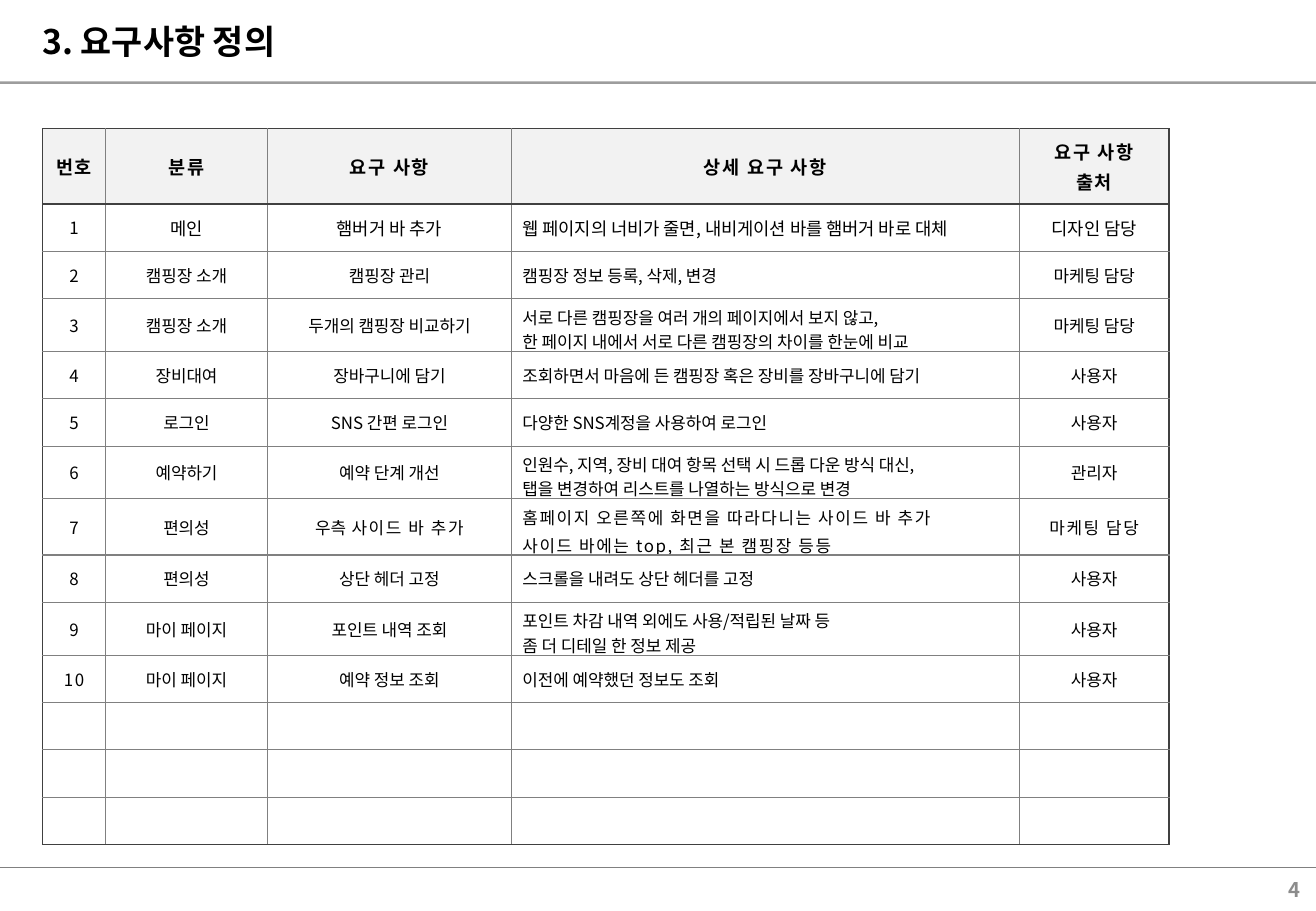
from lxml import etree
from pptx import Presentation
from pptx.dml.color import RGBColor
from pptx.enum.shapes import MSO_CONNECTOR
from pptx.enum.text import MSO_ANCHOR, PP_ALIGN
from pptx.oxml.ns import qn
from pptx.util import Inches, Pt

LEFT, CENTER, RIGHT = PP_ALIGN.LEFT, PP_ALIGN.CENTER, PP_ALIGN.RIGHT
MIDDLE = MSO_ANCHOR.MIDDLE
STRAIGHT = MSO_CONNECTOR.STRAIGHT
FONT = "Noto Sans CJK KR"
COLORS = {
    "text": "000000",
    "page": "8C8C8C",
    "head": "F2F2F2",
    "grid": "808080",
    "frame": "404040",
}
WIDTH = 10.83
COLS = [0.52, 1.33, 2.01, 4.18, 1.23]
HEAD_HIGH, ROW_HIGH = 0.62, 0.39
DETAIL = 3
WIDE = "|"
HEADS = ["|번호", "|분류", "|요구 사항", "|상세 요구 사항", "|요구 사항\n|출처"]
NEEDS = [
    ["메인", "햄버거 바 추가", "웹 페이지의 너비가 줄면, 내비게이션 바를 햄버거 바로 대체", "디자인 담당"],
    ["캠핑장 소개", "캠핑장 관리", "캠핑장 정보 등록, 삭제, 변경", "마케팅 담당"],
    ["캠핑장 소개", "두개의 캠핑장 비교하기",
     "서로 다른 캠핑장을 여러 개의 페이지에서 보지 않고,\n한 페이지 내에서 서로 다른 캠핑장의 차이를 한눈에 비교", "마케팅 담당"],
    ["장비대여", "장바구니에 담기", "조회하면서 마음에 든 캠핑장 혹은 장비를 장바구니에 담기", "사용자"],
    ["로그인", "SNS 간편 로그인", "다양한 SNS계정을 사용하여 로그인", "사용자"],
    ["예약하기", "예약 단계 개선",
     "인원수, 지역, 장비 대여 항목 선택 시 드롭 다운 방식 대신,\n탭을 변경하여 리스트를 나열하는 방식으로 변경", "관리자"],
    ["편의성", "우측| 사이드 바 추가",
     "|홈페이지 오른쪽에 화면을 따라다니는 사이드 바 추가\n|사이드 바에는 top, 최근 본 캠핑장 등등", "|마케팅 담당"],
    ["편의성", "상단 헤더 고정", "스크롤을 내려도 상단 헤더를 고정", "사용자"],
    ["마이 페이지", "포인트 내역 조회",
     "포인트 차감 내역 외에도 사용/적립된 날짜 등\n좀 더 디테일 한 정보 제공", "사용자"],
    ["마이 페이지", "예약 정보 조회", "이전에 예약했던 정보도 조회", "사용자"],
]
SPARE = 3


def paint(name):
    return RGBColor.from_string(COLORS[name])


def add_run(para, text, size, color="text", bold=False, wide=False):
    run = para.add_run()
    run.text = text
    font = run.font
    font.name = FONT
    font.size = Pt(size)
    font.bold = bold
    font.color.rgb = paint(color)
    props = run._r.get_or_add_rPr()
    etree.SubElement(props, qn("a:ea")).set("typeface", FONT)
    if wide:
        props.set("spc", "100")


def add_label(slide, text, box, size, align, color):
    frame = slide.shapes.add_textbox(*map(Inches, box)).text_frame
    frame.word_wrap = True
    frame.vertical_anchor = MIDDLE
    para = frame.paragraphs[0]
    para.alignment = align
    add_run(para, text, size, color, bold=True)


def add_rule(slide, top, width, alpha=None):
    rule = slide.shapes.add_connector(
        STRAIGHT, Inches(0), Inches(top), Inches(WIDTH), Inches(top))
    rule.line.width = Pt(width)
    rule.line.color.rgb = paint("grid")
    props = rule._element.spPr
    if alpha:
        tint = props.find(".//" + qn("a:srgbClr"))
        etree.SubElement(tint, qn("a:alpha")).set("val", str(alpha * 1000))
    etree.SubElement(props, qn("a:effectLst"))


def add_edge(cell, side, framed):
    line = etree.SubElement(cell._tc.get_or_add_tcPr(), qn("a:ln" + side))
    line.set("w", str(Pt(1 if framed else 0.75)))
    fill = etree.SubElement(line, qn("a:solidFill"))
    color = COLORS["frame" if framed else "grid"]
    etree.SubElement(fill, qn("a:srgbClr")).set("val", color)


def write_cell(cell, text, size, align, bold):
    frame = cell.text_frame
    for index, line in enumerate(text.split("\n")):
        para = frame.add_paragraph() if index else frame.paragraphs[0]
        para.alignment = align
        if index and line.startswith(WIDE):
            para.space_before = Pt(2)
        for part, words in enumerate(line.split(WIDE)):
            if words:
                add_run(para, words, size, bold=bold, wide=part > 0)
        if not text:
            end = etree.SubElement(para._p, qn("a:endParaRPr"))
            end.set("sz", str(size * 100))


def style_cell(cell, row, col, last):
    cell.vertical_anchor = MIDDLE
    cell.margin_left = cell.margin_right = Inches(0.09)
    cell.margin_top = cell.margin_bottom = Inches(0.05)
    add_edge(cell, "L", col == 0)
    add_edge(cell, "R", col == len(COLS) - 1)
    add_edge(cell, "T", row in (0, 1))
    add_edge(cell, "B", row in (0, last))
    if row:
        cell.fill.background()
    else:
        cell.fill.solid()
        cell.fill.fore_color.rgb = paint("head")


def pick_size(row, col):
    if row == 0:
        return 11
    return 10.5 if row == 1 and col else 10


def add_grid(slide):
    rows = [HEADS]
    rows += [[f"{WIDE}{num}", *need] for num, need in enumerate(NEEDS, 1)]
    rows += [[""] * len(COLS) for _ in range(SPARE)]
    last = len(rows) - 1
    table = slide.shapes.add_table(
        len(rows), len(COLS), Inches(0.35), Inches(1.06),
        Inches(sum(COLS)), Inches(HEAD_HIGH + last * ROW_HIGH)).table
    table.first_row = table.horz_banding = False
    for col, width in enumerate(COLS):
        table.columns[col].width = Inches(width)
    for row, texts in enumerate(rows):
        table.rows[row].height = Inches(ROW_HIGH if row else HEAD_HIGH)
        for col, text in enumerate(texts):
            cell = table.cell(row, col)
            align = LEFT if row and col == DETAIL else CENTER
            style_cell(cell, row, col, last)
            write_cell(cell, text, pick_size(row, col), align, row == 0)


def main():
    deck = Presentation()
    deck.slide_width = Inches(WIDTH)
    deck.slide_height = Inches(7.5)
    slide = deck.slides.add_slide(deck.slide_layouts[6])
    add_rule(slide, 7.14, 0.75)
    add_rule(slide, 0.68, 1.5, alpha=76)
    add_label(slide, "3. 요구사항 정의", (0.25, 0.09, 10.43, 0.49), 20, LEFT, "text")
    add_label(slide, "4", (8.36, 7.17, 2.44, 0.31), 12, RIGHT, "page")
    add_grid(slide)
    deck.save("out.pptx")


if __name__ == "__main__":
    main()
